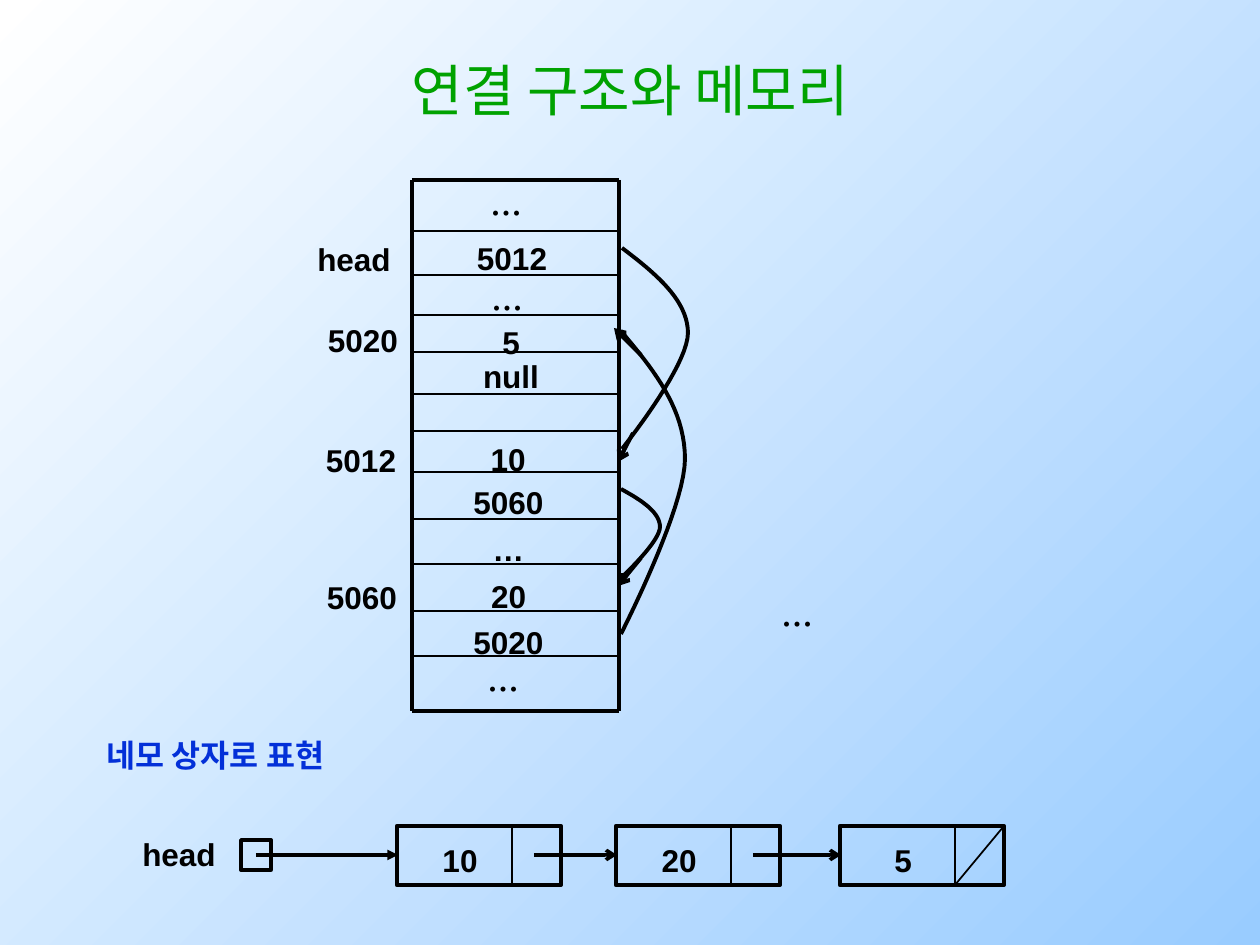
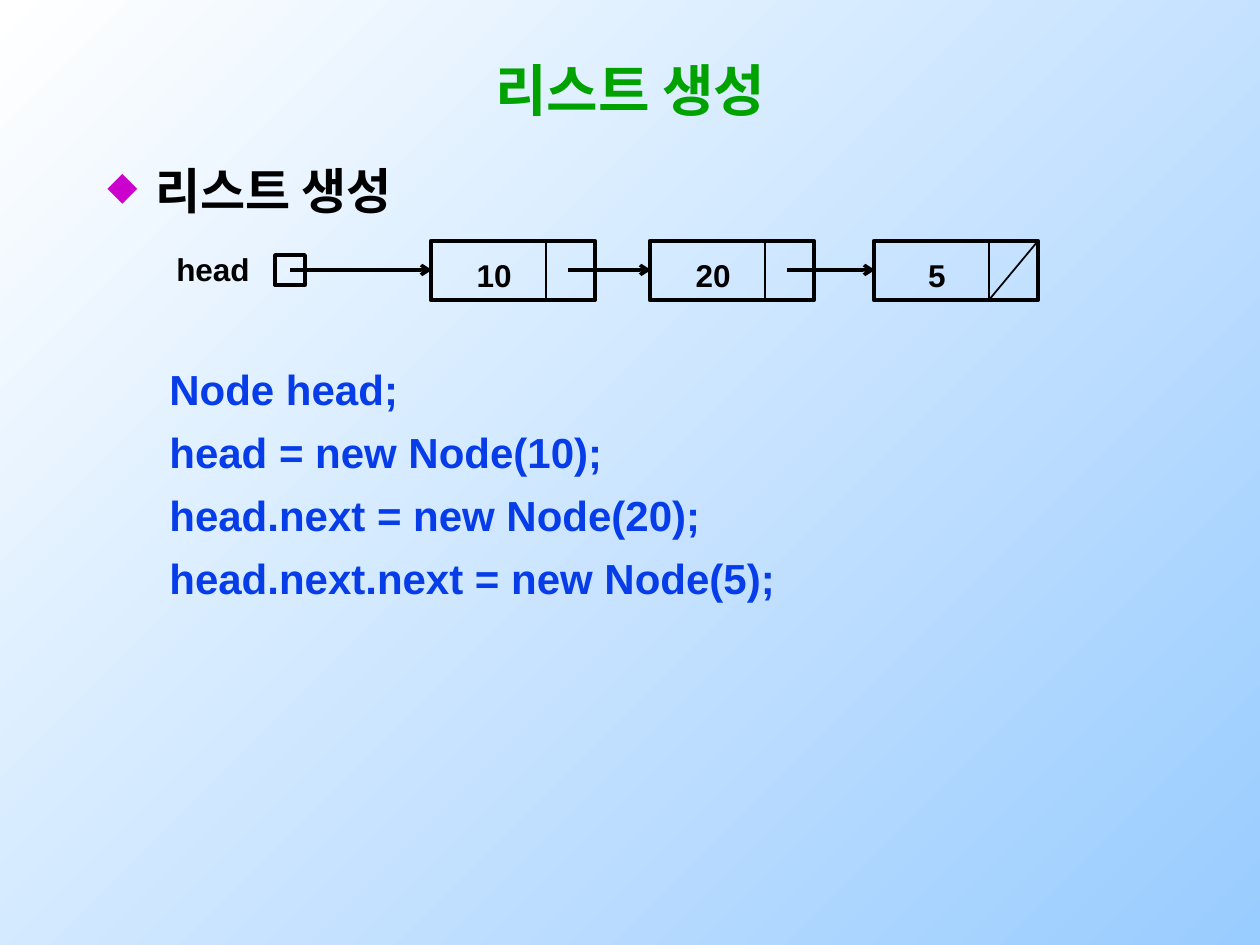
import pptx
import pptx.util
import pptx.dml.color
import pptx.enum.shapes
import pptx.enum.text
import pptx.oxml.ns
from lxml import etree

PX_PER_INCH = 126
BLACK = pptx.dml.color.RGBColor(0x00, 0x00, 0x00)
GREEN = pptx.dml.color.RGBColor(0x00, 0xA2, 0x00)
CAPTION_BLUE = pptx.dml.color.RGBColor(0x03, 0x30, 0xD8)
CODE_BLUE = pptx.dml.color.RGBColor(0x06, 0x3D, 0xE8)
MAGENTA = pptx.dml.color.RGBColor(0xCC, 0x00, 0xCC)
WHITE = pptx.dml.color.RGBColor(0xFF, 0xFF, 0xFF)
SKY = pptx.dml.color.RGBColor(0x99, 0xCC, 0xFF)

CENTER = pptx.enum.text.PP_ALIGN.CENTER
LEFT = pptx.enum.text.PP_ALIGN.LEFT

MEMORY_TITLE = "연결 구조와 메모리"
CREATION_TITLE = "리스트 생성"
CREATION_HEADING = "리스트 생성"
BOX_CAPTION = "네모 상자로 표현"
CODE = ["Node head;", "head = new Node(10);", "head.next = new Node(20);",
        "head.next.next = new Node(5);"]

MEMORY_LEFT, MEMORY_RIGHT = 412, 619
MEMORY_TOP, MEMORY_BOTTOM = 180, 711
MEMORY_ROWS = [231, 275, 315, 352, 394, 431, 472, 519, 564, 611, 656]
MEMORY_LABELS = [
    ("head", 354, 259), ("5020", 363, 340), ("5012", 361, 460), ("5060", 362, 597),
    ("5012", 512, 258), ("5", 511, 342), ("null", 511, 376), ("10", 508, 459),
]
MEMORY_TAIL = ["5060", "…", "20", "5020"]
ELLIPSES = [(478, 199), (479, 294), (475, 675), (769, 610)]
POINTER_CURVES = [
    [(622, 248), (655, 273), (688, 300), (688, 333), (688, 367), (622, 449), (622, 449)],
    [(621, 489), (641, 500), (660, 512), (660, 527), (660, 542), (621, 578), (621, 578)],
    [(621, 331), (653, 369), (685, 408), (685, 459), (685, 509), (621, 634), (621, 634)],
]
POINTER_HEADS = [((633, 433), (618, 462)), ((641, 558), (618, 586)), ((641, 355), (614, 328))]

CHAIN_NODES = [("10", 156), ("20", 375), ("5", 599)]
NODE_WIDTH, NODE_HEIGHT, NODE_DIVIDER = 164, 59, 115


def px(value):
    return pptx.util.Emu(round(value * 914400 / PX_PER_INCH))


def style_outline(shape, weight):
    shape.line.color.rgb = BLACK
    shape.line.width = pptx.util.Pt(weight)


def add_line(slide, start, end, weight=1, arrow=None):
    connector = slide.shapes.add_connector(
        pptx.enum.shapes.MSO_CONNECTOR.STRAIGHT, *map(px, start + end))
    style_outline(connector, weight)
    properties = connector._element.spPr
    if arrow:
        outline = properties.find(pptx.oxml.ns.qn("a:ln"))
        etree.SubElement(outline, pptx.oxml.ns.qn("a:tailEnd"), type=arrow)
    etree.SubElement(properties, pptx.oxml.ns.qn("a:effectLst"))


def add_box(slide, left, top, width, height, weight):
    box = slide.shapes.add_shape(
        pptx.enum.shapes.MSO_SHAPE.RECTANGLE, *map(px, (left, top, width, height)))
    box.shadow.inherit = False
    box.fill.background()
    style_outline(box, weight)


def add_curve(slide, controls):
    points = []
    for first in range(0, len(controls) - 1, 3):
        segment = controls[first:first + 4]
        for step in range(21):
            t = step / 20
            weights = ((1 - t) ** 3, 3 * t * (1 - t) ** 2, 3 * t * t * (1 - t), t ** 3)
            points.append(tuple(
                px(sum(weight * point[axis] for weight, point in zip(weights, segment)))
                for axis in (0, 1)))
    builder = slide.shapes.build_freeform(*points[0], scale=1.0)
    builder.add_line_segments(points[1:], close=False)
    curve = builder.convert_to_shape()
    curve.shadow.inherit = False
    curve.fill.background()
    style_outline(curve, 2.25)


def add_text(slide, lines, left, middle, width, height, size=18, bold=True, color=BLACK,
             align=CENTER, font="Arial", gap=0):
    box = slide.shapes.add_textbox(*map(px, (left, middle - height / 2, width, height)))
    frame = box.text_frame
    frame.word_wrap = True
    frame.vertical_anchor = pptx.enum.text.MSO_ANCHOR.MIDDLE
    for index, line in enumerate(lines):
        paragraph = frame.add_paragraph() if index else frame.paragraphs[0]
        paragraph.alignment = align
        paragraph.space_before = pptx.util.Pt(gap if index else 0)
        run = paragraph.add_run()
        run.text = line
        run.font.name = font
        run.font.size = pptx.util.Pt(size)
        run.font.bold = bold
        run.font.color.rgb = color
    return box


def add_label(slide, text, center, middle):
    add_text(slide, [text], center - 60, middle, 120, 44)


def add_bullet(paragraph):
    properties = paragraph._p.get_or_add_pPr()
    properties.set("marL", str(px(48)))
    properties.set("indent", str(-px(48)))
    color = etree.SubElement(properties, pptx.oxml.ns.qn("a:buClr"))
    etree.SubElement(color, pptx.oxml.ns.qn("a:srgbClr"), val=str(MAGENTA))
    etree.SubElement(properties, pptx.oxml.ns.qn("a:buSzPct"), val="80000")
    etree.SubElement(properties, pptx.oxml.ns.qn("a:buChar"), char="◆")


def add_chain(slide, left, top, head_arrow):
    middle = top + 15
    add_label(slide, "head", left - 62, top + 14)
    add_box(slide, left, top, 30, 30, 2)
    start, arrow = left + 15, head_arrow
    for value, offset in CHAIN_NODES:
        node_left, node_top = left + offset, top - 14
        divider, bottom = node_left + NODE_DIVIDER, node_top + NODE_HEIGHT
        add_box(slide, node_left, node_top, NODE_WIDTH, NODE_HEIGHT, 2.5)
        add_line(slide, (divider, node_top), (divider, bottom))
        add_label(slide, value, node_left + 63, top + 20)
        add_line(slide, (start, middle), (node_left + 1, middle), 2, arrow)
        start, arrow = node_left + 137, "arrow"
    add_line(slide, (node_left + NODE_WIDTH, node_top), (divider, bottom))


def add_slide(presentation, title, bold):
    slide = presentation.slides.add_slide(presentation.slide_layouts[6])
    add_text(slide, [title], 95, 89, 1071, 95, size=32, bold=bold, color=GREEN)
    return slide


def build_memory_slide(presentation):
    slide = add_slide(presentation, MEMORY_TITLE, False)
    for row in MEMORY_ROWS:
        add_line(slide, (MEMORY_LEFT, row), (MEMORY_RIGHT, row))
    for edge in (MEMORY_TOP, MEMORY_BOTTOM):
        add_line(slide, (MEMORY_LEFT, edge), (MEMORY_RIGHT, edge), 2.25)
    for side in (MEMORY_LEFT, MEMORY_RIGHT):
        add_line(slide, (side, MEMORY_TOP), (side, MEMORY_BOTTOM), 2.25)
    for label in MEMORY_LABELS:
        add_label(slide, *label)
    add_text(slide, MEMORY_TAIL, 417, 572, 183, 190, gap=5.2)
    for left, middle in ELLIPSES:
        add_text(slide, ["..."], left, middle, 90, 63, size=24, bold=False,
                 align=LEFT, font="Times New Roman")
    for controls in POINTER_CURVES:
        add_curve(slide, controls)
    for start, end in POINTER_HEADS:
        add_line(slide, start, end, 2.25, "arrow")
    add_text(slide, [BOX_CAPTION], 78, 755, 275, 60, color=CAPTION_BLUE)
    add_chain(slide, 241, 840, "triangle")


def build_creation_slide(presentation):
    slide = add_slide(presentation, CREATION_TITLE, True)
    heading = add_text(slide, [CREATION_HEADING], 95, 190, 1081, 70, size=28, align=LEFT)
    add_bullet(heading.text_frame.paragraphs[0])
    add_text(slide, CODE, 157, 483, 1000, 250, size=24, color=CODE_BLUE, align=LEFT, gap=7.2)
    add_chain(slide, 275, 255, "arrow")


def main():
    presentation = pptx.Presentation()
    presentation.slide_width = px(1260)
    presentation.slide_height = px(945)
    fill = presentation.slide_master.background.fill
    fill.gradient()
    fill.gradient_angle = 315
    for stop, color, position in zip(fill.gradient_stops, (WHITE, SKY), (0, 1)):
        stop.color.rgb = color
        stop.position = position
    build_memory_slide(presentation)
    build_creation_slide(presentation)
    presentation.save("out.pptx")


if __name__ == "__main__":
    main()
